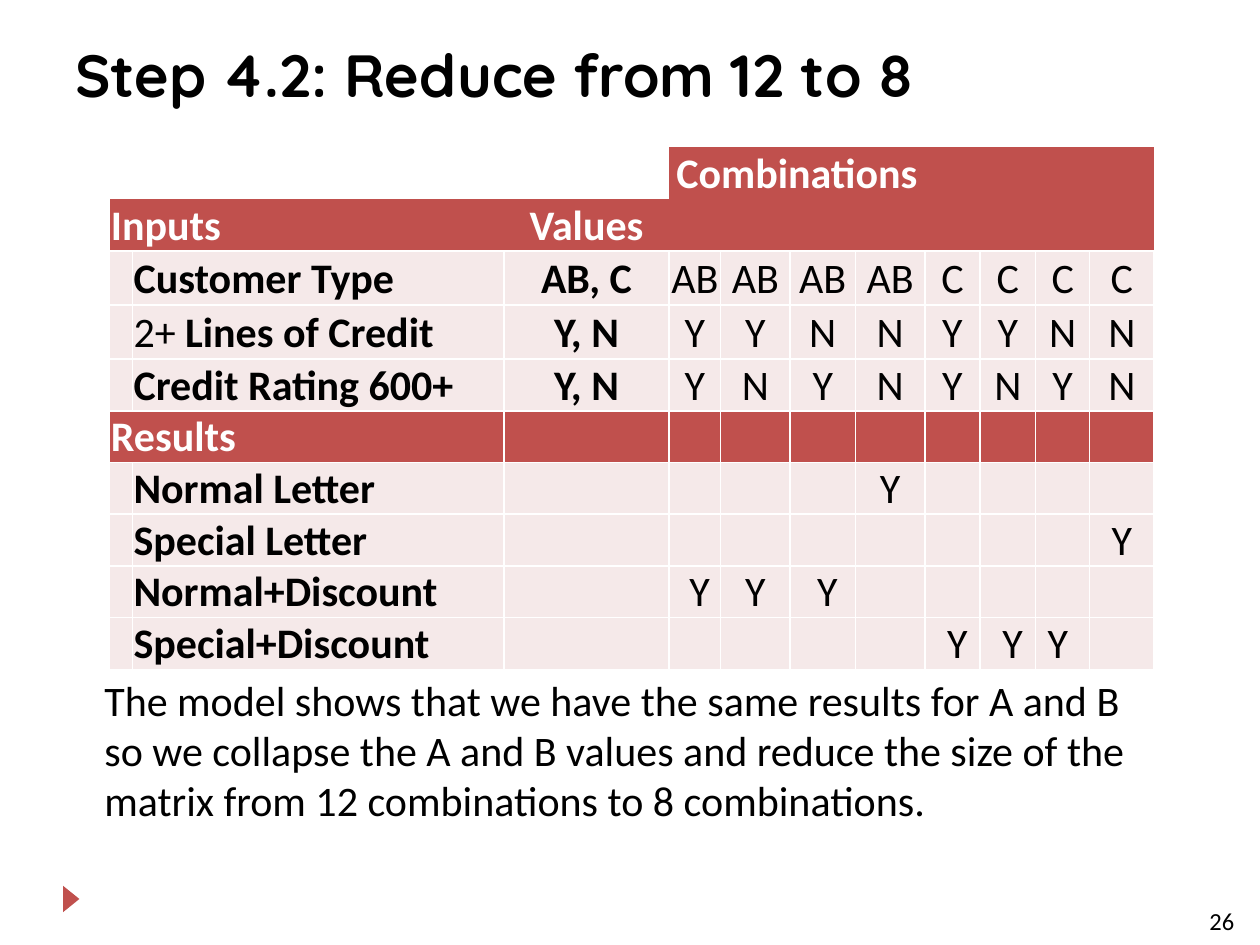
from pptx import Presentation
from pptx.dml.color import RGBColor
from pptx.enum.shapes import MSO_SHAPE
from pptx.enum.text import MSO_ANCHOR, PP_ALIGN
from pptx.oxml.ns import qn
from pptx.util import Inches, Pt
from lxml import etree

TRIANGLE = MSO_SHAPE.ISOSCELES_TRIANGLE
BOTTOM = MSO_ANCHOR.BOTTOM
LEFT, CENTER = PP_ALIGN.LEFT, PP_ALIGN.CENTER
RED, PALE, WHITE, BLACK = "C0504D", "F5E9E9", "FFFFFF", "000000"

COLUMN_WIDTHS = [0.18, 2.95, 1.31, 0.41, 0.55, 0.52, 0.55, 0.44, 0.44, 0.43, 0.51]
ROW_HEIGHTS = [0.41, 0.41, 0.43, 0.43] + [0.41] * 6
HEADER_ROWS = (0, 1, 5)
FIRST_COMBINATION = 3
MERGES = [((0, 3), (0, 6)), ((1, 0), (1, 1)), ((5, 0), (5, 1))]

DECISIONS = [
    ["", "", "", "Combinations"],
    ["Inputs", "", "Values"],
    ["", "Customer Type", "AB, C", "AB", "AB", "AB", "AB", "C", "C", "C", "C"],
    ["", "2+ Lines of Credit", "Y, N", "Y", "Y", "N", "N", "Y", "Y", "N", "N"],
    ["", "Credit Rating 600+", "Y, N", "Y", "N", "Y", "N", "Y", "N", "Y", "N"],
    ["Results"],
    ["", "Normal Letter", "", "", "", "", "Y"],
    ["", "Special Letter", "", "", "", "", "", "", "", "", "Y"],
    ["", "Normal+Discount", "", " Y", "Y", " Y"],
    ["", "Special+Discount", "", "", "", "", "", " Y", " Y", "Y "],
]
PLAIN_PREFIX = "2+ "
EXPLANATION = (
    "The model shows that we have the same results for A and B so we collapse "
    "the A and B values and reduce the size of the matrix from 12 combinations "
    "to 8 combinations."
)


def rgb(hex_colour):
    """Turn a hex string into a colour."""
    return RGBColor.from_string(hex_colour)


def add_run(paragraph, text, size=24, font="Calibri", colour=BLACK, bold=False):
    """Append formatted text to a paragraph."""
    run = paragraph.add_run()
    run.text = text
    run.font.size = Pt(size)
    run.font.name = font
    run.font.bold = bold
    run.font.color.rgb = rgb(colour)


def add_text(slide, text, left, top, width, height, **text_format):
    """Add a wrapping text box."""
    box = slide.shapes.add_textbox(Inches(left), Inches(top), Inches(width), Inches(height))
    box.text_frame.word_wrap = True
    add_run(box.text_frame.paragraphs[0], text, **text_format)


def add_marker(slide):
    """Add the small triangle that points right in the footer."""
    marker = slide.shapes.add_shape(TRIANGLE, Inches(0.46), Inches(7.07), Inches(0.21), Inches(0.13))
    marker.rotation = 90
    marker.shadow.inherit = False
    marker.fill.solid()
    marker.fill.fore_color.rgb = rgb(RED)
    marker.line.fill.background()


def set_borders(cell, visible_sides):
    """Draw white lines on the visible sides and none on the others."""
    properties = cell._tc.get_or_add_tcPr()
    for side in "LRTB":
        line = etree.SubElement(properties, qn(f"a:ln{side}"), w=str(Pt(1)))
        if side in visible_sides:
            fill = etree.SubElement(line, qn("a:solidFill"))
            etree.SubElement(fill, qn("a:srgbClr"), val=WHITE)
        else:
            etree.SubElement(line, qn("a:noFill"))


def style_cell(cell, row, column):
    """Set the borders, fill and margins that belong to a table position."""
    set_borders(cell, {0: "", 1: "B"}.get(row, "LRTB"))
    if row == 0 and column < FIRST_COMBINATION:
        cell.fill.background()
    else:
        cell.fill.solid()
        cell.fill.fore_color.rgb = rgb(RED if row in HEADER_ROWS else PALE)
    cell.margin_left = cell.margin_right = cell.margin_top = Inches(0.01)
    cell.margin_bottom = 0
    cell.vertical_anchor = BOTTOM


def fill_cell(cell, text, row, column):
    """Write a table entry in the format of its row and column."""
    paragraph = cell.text_frame.paragraphs[0]
    paragraph.alignment = LEFT if column < 2 else CENTER
    header = row in HEADER_ROWS
    if text.startswith(PLAIN_PREFIX):
        add_run(paragraph, PLAIN_PREFIX)
        text = text.removeprefix(PLAIN_PREFIX)
    add_run(paragraph, text, colour=WHITE if header else BLACK,
            bold=header or column < FIRST_COMBINATION)


def add_decision_table(slide):
    """Add the table of input combinations and results."""
    table = slide.shapes.add_table(
        len(ROW_HEIGHTS), len(COLUMN_WIDTHS), Inches(0.87), Inches(1.17),
        Inches(sum(COLUMN_WIDTHS)), Inches(sum(ROW_HEIGHTS))).table
    table.first_row = table.horz_banding = False
    for column, width in zip(table.columns, COLUMN_WIDTHS):
        column.width = Inches(width)
    for row, height in zip(table.rows, ROW_HEIGHTS):
        row.height = Inches(height)
    for row in range(len(ROW_HEIGHTS)):
        for column in range(len(COLUMN_WIDTHS)):
            style_cell(table.cell(row, column), row, column)
    for start, end in MERGES:
        table.cell(*start).merge(table.cell(*end))
    for row, entries in enumerate(DECISIONS):
        for column, text in enumerate(entries):
            if text:
                fill_cell(table.cell(row, column), text, row, column)


def main():
    """Build and save the slide."""
    presentation = Presentation()
    presentation.slide_width = Inches(10)
    presentation.slide_height = Inches(7.5)
    slide = presentation.slides.add_slide(presentation.slide_layouts[6])
    add_marker(slide)
    add_text(slide, "Step 4.2: Reduce from 12 to 8", 0.5, 0.25, 9, 1,
             size=34, font="Quicksand", bold=True)
    add_text(slide, "26", 9.5, 7.14, 0.45, 0.25, size=14)
    add_decision_table(slide)
    add_text(slide, EXPLANATION, 0.73, 5.3, 8.53, 1.31)
    presentation.save("out.pptx")


if __name__ == "__main__":
    main()
